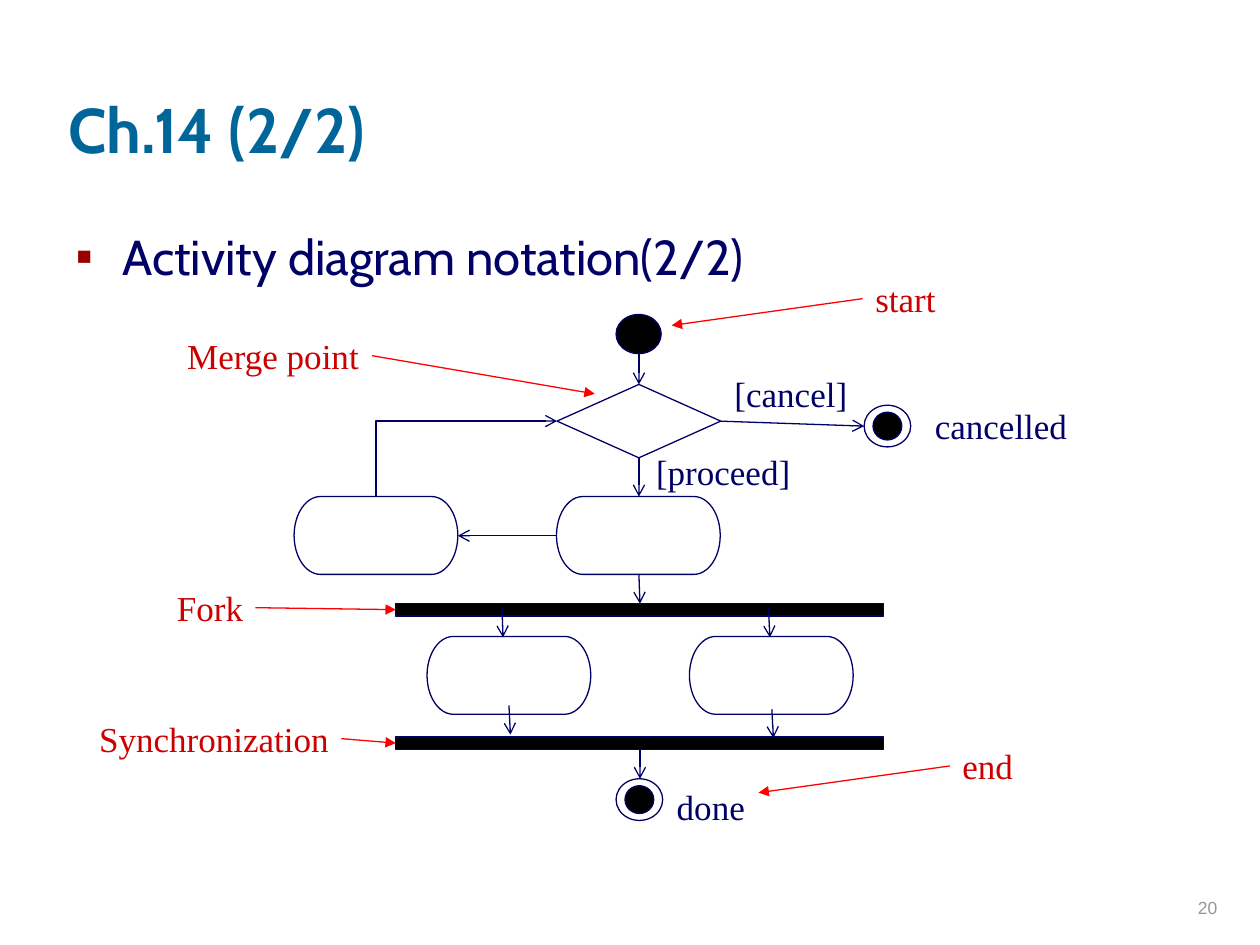
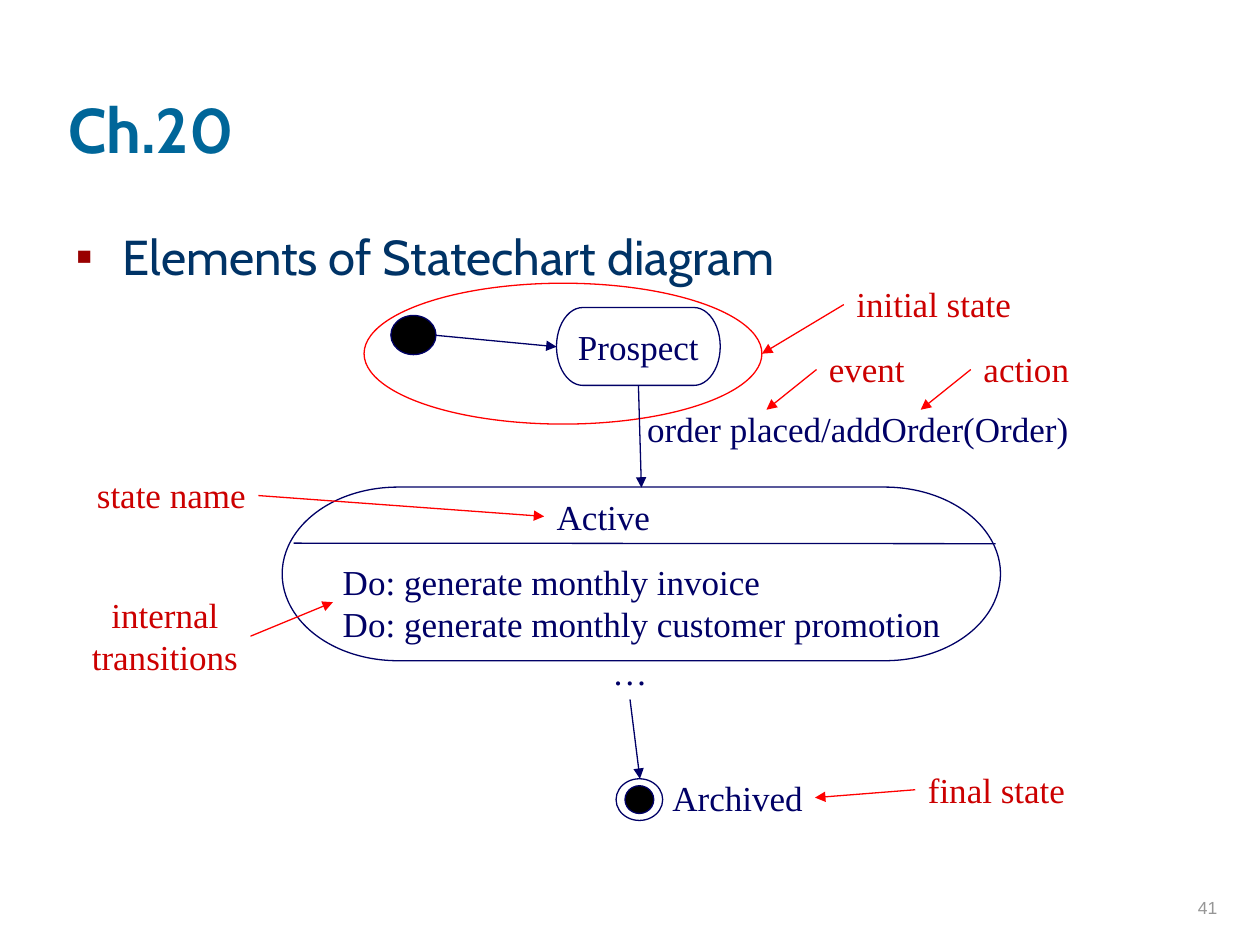
"""Build two slides on activity and statechart diagram notation."""
from lxml.etree import SubElement
from pptx import Presentation
from pptx.dml.color import RGBColor
from pptx.enum.shapes import MSO_CONNECTOR, MSO_SHAPE
from pptx.enum.text import MSO_ANCHOR, MSO_AUTO_SIZE, PP_ALIGN
from pptx.oxml.ns import qn
from pptx.util import Cm, Pt

NAVY, TEAL, DEEP_BLUE = "000066", "006699", "003366"
NOTE_TEXT, NOTE_LINE, BULLET = "CC0000", "FF0000", "990000"
BLACK, GREY = "000000", "969696"
HEADING_FONT, DIAGRAM_FONT, NUMBER_FONT = "Cabin", "Times New Roman", "Arial"
LINE_HEIGHT, TEXT_MARGIN, SIDE_MARGIN = 0.85, 0.27, 0.2
STATE_SIZE = (3.3, 1.57)
START_SIZE, END_SIZE, CORE_SIZE = (0.91, 0.79), (0.94, 0.84), (0.58, 0.56)
BAR_LEFT, BAR_SIZE = 7.98, (9.83, 0.25)
AXIS = 12.88


def rgb(value):
    """Return the colour of a hex string."""
    return RGBColor.from_string(value)


def style_text(paragraph, font, size, color, align=PP_ALIGN.LEFT, bold=False):
    """Format a whole paragraph."""
    paragraph.alignment = align
    paragraph.space_before = Pt(0)
    paragraph.font.name = font
    paragraph.font.size = Pt(size)
    paragraph.font.bold = bold
    paragraph.font.color.rgb = rgb(color)


def place(placeholder, left, top, width, height):
    """Move and size a placeholder."""
    placeholder.left, placeholder.top = Cm(left), Cm(top)
    placeholder.width, placeholder.height = Cm(width), Cm(height)
    placeholder.text_frame.auto_size = MSO_AUTO_SIZE.NONE


def add_bullet(paragraph):
    """Give a paragraph a hanging square bullet."""
    properties = paragraph._p.get_or_add_pPr()
    properties.set("marL", str(Cm(0.95)))
    properties.set("indent", str(-Cm(0.95)))
    bullet_color = SubElement(properties, qn("a:buClr"))
    SubElement(bullet_color, qn("a:srgbClr"), val=BULLET)
    SubElement(properties, qn("a:buChar"), char="▪")


def add_topic_slide(deck, heading, topic, topic_color, number):
    """Add a slide with its heading, topic bullet and page number."""
    slide = deck.slides.add_slide(deck.slide_layouts[1])
    title, body = slide.placeholders
    place(title, 1.12, 0.3, 21.59, 3.18)
    title.text_frame.text = heading
    title.text_frame.vertical_anchor = MSO_ANCHOR.BOTTOM
    style_text(title.text_frame.paragraphs[0], HEADING_FONT, 36, TEAL, bold=True)

    place(body, 1.27, 4.43, 22.71, 12.4)
    body.text_frame.text = topic
    add_bullet(body.text_frame.paragraphs[0])
    style_text(body.text_frame.paragraphs[0], HEADING_FONT, 28, topic_color)

    page = slide.shapes.add_textbox(Cm(19.51), Cm(17.37), Cm(5.28), Cm(1.27)).text_frame
    page.word_wrap = True
    page.vertical_anchor = MSO_ANCHOR.BOTTOM
    page.text = number
    style_text(page.paragraphs[0], NUMBER_FONT, 10, GREY, PP_ALIGN.RIGHT)
    return slide.shapes


def add_node(shapes, kind, left, top, size, fill=None, outline=NAVY):
    """Add an outlined preset shape, hollow unless a fill is given."""
    node = shapes.add_shape(kind, Cm(left), Cm(top), *map(Cm, size))
    node.shadow.inherit = False
    node.line.color.rgb = rgb(outline)
    node.line.width = Pt(0.75)
    if fill:
        node.fill.solid()
        node.fill.fore_color.rgb = rgb(fill)
    else:
        node.fill.background()
    return node


def add_state(shapes, left, top, name=""):
    """Add a rounded state or activity, with its name if it has one."""
    state = add_node(shapes, MSO_SHAPE.FLOWCHART_TERMINATOR, left, top, STATE_SIZE)
    if name:
        state.text_frame.text = name
        state.text_frame.vertical_anchor = MSO_ANCHOR.MIDDLE
        style_text(state.text_frame.paragraphs[0], DIAGRAM_FONT, 20, NAVY, PP_ALIGN.CENTER)


def add_start(shapes, left, top):
    """Add the solid start marker."""
    add_node(shapes, MSO_SHAPE.FLOWCHART_CONNECTOR, left, top, START_SIZE, BLACK)


def add_end(shapes, left, top):
    """Add the end marker, a ring around a solid core."""
    add_node(shapes, MSO_SHAPE.OVAL, left, top, END_SIZE)
    inset_x, inset_y = ((ring - core) / 2 for ring, core in zip(END_SIZE, CORE_SIZE))
    add_node(shapes, MSO_SHAPE.OVAL, left + inset_x, top + inset_y, CORE_SIZE, BLACK)


def add_line(shapes, start, end, head=None, color=NAVY, kind=MSO_CONNECTOR.STRAIGHT):
    """Add a connector, with an arrowhead at its end if one is named."""
    line = shapes.add_connector(kind, *map(Cm, start + end))
    line.line.color.rgb = rgb(color)
    line.line.width = Pt(0.75)
    if head:
        SubElement(line.line._get_or_add_ln(), qn("a:tailEnd"), type=head)
    SubElement(line._element.spPr, qn("a:effectLst"))
    return line


def add_return_arrow(shapes, start, end):
    """Add an arrow that goes up from its start and then right to its end."""
    center_x, center_y = (start[0] + end[0]) / 2, (start[1] + end[1]) / 2
    half_rise, half_run = (start[1] - end[1]) / 2, (end[0] - start[0]) / 2
    arrow = add_line(shapes, (center_x + half_rise, center_y + half_run),
                     (center_x - half_rise, center_y - half_run),
                     "arrow", kind=MSO_CONNECTOR.ELBOW)
    arrow._element.spPr.find(qn("a:xfrm")).set("rot", "5400000")
    arrow._element.spPr.find(qn("a:prstGeom")).set("prst", "bentConnector2")


def add_label(shapes, text, left, top, width, color=NAVY, align=PP_ALIGN.CENTER):
    """Add an unwrapped label and return its height."""
    height = LINE_HEIGHT * len(text.splitlines()) + TEXT_MARGIN
    frame = shapes.add_textbox(Cm(left), Cm(top), Cm(width), Cm(height)).text_frame
    frame.margin_left = frame.margin_right = Cm(SIDE_MARGIN)
    frame.word_wrap = False
    frame.auto_size = MSO_AUTO_SIZE.SHAPE_TO_FIT_TEXT
    frame.text = text
    for paragraph in frame.paragraphs:
        style_text(paragraph, DIAGRAM_FONT, 20, color, align)
    return height


def add_note(shapes, text, left, top, width, target):
    """Add a red note with an arrow from its nearer side to the target."""
    height = add_label(shapes, text, left, top, width, NOTE_TEXT)
    side = left if target[0] < left else left + width
    add_line(shapes, (side, top + height / 2), target, "triangle", NOTE_LINE)


def draw_activity_diagram(shapes):
    """Draw the activity diagram and its notes."""
    add_start(shapes, 12.42, 6.34)
    add_node(shapes, MSO_SHAPE.FLOWCHART_DECISION, 11.23, 7.75, (3.3, 1.48))
    for bar_top in (12.17, 14.86):
        add_node(shapes, MSO_SHAPE.RECTANGLE, BAR_LEFT, bar_top, BAR_SIZE, BLACK)
    for left, top in ((5.93, 10.01), (11.22, 10.01), (8.61, 12.83), (13.9, 12.83)):
        add_state(shapes, left, top)
    add_end(shapes, 17.42, 8.17)
    add_end(shapes, 12.42, 15.7)

    for start, end in (
        ((AXIS, 7.14), (AXIS, 7.75)),
        ((AXIS, 9.23), (AXIS, 10.01)),
        ((14.53, 8.49), (17.42, 8.59)),
        ((11.22, 10.8), (9.23, 10.8)),
        ((AXIS, 11.58), (12.9, 12.17)),
        ((10.12, 12.24), (10.14, 12.85)),
        ((15.49, 12.24), (15.52, 12.85)),
        ((10.26, 14.22), (10.29, 14.81)),
        ((15.56, 14.3), (15.59, 14.88)),
        ((12.9, 15.11), (12.9, 15.7)),
    ):
        add_line(shapes, start, end, "arrow")
    add_return_arrow(shapes, (7.58, 10.01), (11.23, 8.49))

    add_label(shapes, "[proceed]", 12.98, 8.96, 3.2)
    add_label(shapes, "[cancel]", 14.56, 7.39, 2.77)
    add_label(shapes, "cancelled", 18.59, 8.03, 3.18)
    add_label(shapes, "done", 13.39, 15.71, 1.88)

    add_note(shapes, "start", 17.39, 5.46, 1.73, (13.54, 6.56))
    add_note(shapes, "Merge point", 3.51, 6.61, 3.99, (11.99, 7.94))
    add_note(shapes, "Fork", 3.32, 11.69, 1.83, (BAR_LEFT, 12.29))
    add_note(shapes, "Synchronization", 1.75, 14.33, 5.13, (BAR_LEFT, 14.98))
    add_note(shapes, "end", 19.15, 14.88, 1.52, (15.29, 15.98))


def draw_active_state(shapes):
    """Draw the two-part Active state as one group."""
    parts = shapes.add_group_shape().shapes
    add_node(parts, MSO_SHAPE.FLOWCHART_TERMINATOR, 5.69, 9.82, (14.48, 3.5))
    add_line(parts, (5.92, 10.95), (20.07, 10.96))
    add_label(parts, "Active", 10.97, 9.86, 2.39)
    add_label(parts, "Do: generate monthly invoice\nDo: generate monthly customer promotion",
              6.71, 11.18, 12.55, align=PP_ALIGN.LEFT)


def draw_statechart(shapes):
    """Draw the statechart and its notes."""
    add_start(shapes, 7.88, 6.36)
    add_state(shapes, 11.22, 6.2, "Prospect")
    draw_active_state(shapes)
    add_end(shapes, 12.42, 15.7)
    add_node(shapes, MSO_SHAPE.OVAL, 7.34, 5.71, (8.02, 2.84), outline=NOTE_LINE)

    for start, end in (
        ((8.79, 6.76), (11.22, 6.99)),
        ((12.87, 7.77), (12.93, 9.83)),
        ((12.7, 14.1), (12.9, 15.7)),
    ):
        add_line(shapes, start, end, "triangle")

    add_label(shapes, "order placed/addOrder(Order)", 12.8, 8.09, 8.99)
    add_label(shapes, "…", 12.09, 12.98, 1.22)
    add_label(shapes, "Archived", 13.31, 15.52, 3.12)

    add_note(shapes, "initial state", 17.01, 5.58, 3.63, (15.36, 7.13))
    add_note(shapes, "event", 16.46, 6.89, 2.03, (15.45, 8.26))
    add_note(shapes, "action", 19.57, 6.89, 2.24, (18.56, 8.26))
    add_note(shapes, "state name", 1.7, 9.43, 3.51, (10.97, 10.41))
    add_note(shapes, "internal\ntransitions", 1.6, 11.84, 3.45, (6.71, 12.14))
    add_note(shapes, "final state", 18.45, 15.36, 3.28, (16.43, 16.08))


def main():
    """Build and save the deck."""
    deck = Presentation()
    deck.slide_width, deck.slide_height = Cm(25.4), Cm(19.05)
    draw_activity_diagram(add_topic_slide(
        deck, "Ch.14 (2/2)", "Activity diagram notation(2/2)", NAVY, "20"))
    draw_statechart(add_topic_slide(
        deck, "Ch.20", "Elements of Statechart diagram", DEEP_BLUE, "41"))
    deck.save("out.pptx")


if __name__ == "__main__":
    main()
